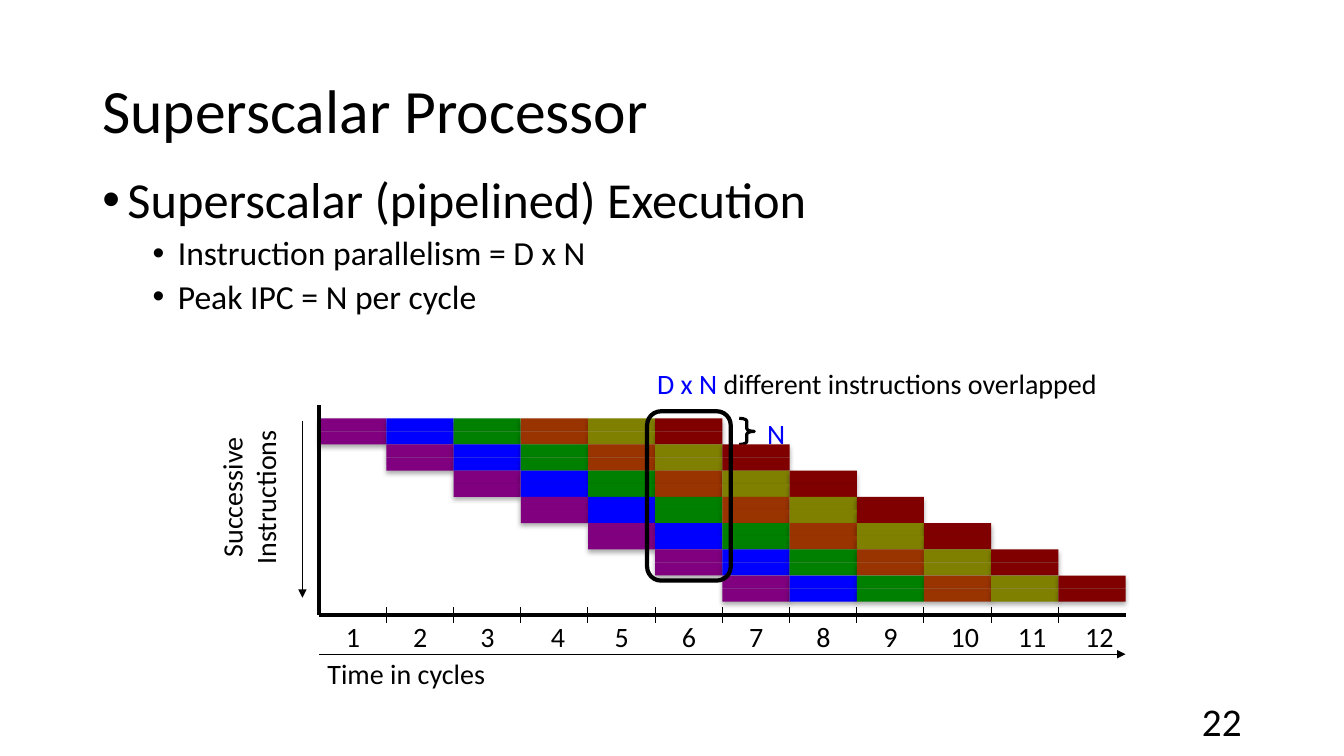
from lxml import etree
from pptx import Presentation
from pptx.dml.color import RGBColor
from pptx.enum.shapes import MSO_CONNECTOR, MSO_SHAPE
from pptx.enum.text import MSO_ANCHOR, PP_ALIGN
from pptx.oxml.ns import qn
from pptx.util import Pt

PX = 3048
FONT = "Calibri"
BLACK, BLUE = "000000", "0000FF"
STAGE_COLORS = ["800080", BLUE, "008000", "993300", "808000", "800000"]
ISSUE_WIDTH, GROUPS, CYCLES = 2, 7, 12
STAGE_WIDTH, ROW_HEIGHT = 200, 39
CHART_LEFT, CHART_TOP, AXIS_Y = 950, 1245, 1830
CHART_RIGHT = CHART_LEFT + CYCLES * STAGE_WIDTH
RECTANGLE = MSO_SHAPE.RECTANGLE
ROUNDED = MSO_SHAPE.ROUNDED_RECTANGLE
BRACE = MSO_SHAPE.RIGHT_BRACE
STRAIGHT = MSO_CONNECTOR.STRAIGHT
LEFT, CENTER, RIGHT = PP_ALIGN.LEFT, PP_ALIGN.CENTER, PP_ALIGN.RIGHT
TOP, MIDDLE = MSO_ANCHOR.TOP, MSO_ANCHOR.MIDDLE

deck = Presentation()
deck.slide_width = 4000 * PX
deck.slide_height = 2250 * PX
page = deck.slides.add_slide(deck.slide_layouts[6])


def add_text(text, left, top, width, height, size=20, color=BLACK,
             align=LEFT, anchor=TOP, wrap=False):
    box = page.shapes.add_textbox(left * PX, top * PX, width * PX, height * PX)
    frame = box.text_frame
    frame.word_wrap = wrap
    frame.vertical_anchor = anchor
    frame.text = text
    for para in frame.paragraphs:
        para.alignment = align
        for span in para.runs:
            span.font.name = FONT
            span.font.size = Pt(size)
            span.font.color.rgb = RGBColor.from_string(color)
    return box


def add_line(x1, y1, x2, y2, weight=0.75, arrow=False):
    line = page.shapes.add_connector(STRAIGHT, x1 * PX, y1 * PX, x2 * PX, y2 * PX)
    line.line.color.rgb = RGBColor.from_string(BLACK)
    line.line.width = Pt(weight)
    if arrow:
        etree.SubElement(line.line._get_or_add_ln(), qn("a:tailEnd"), type="triangle")
    etree.SubElement(line._element.spPr, qn("a:effectLst"))


title = add_text("Superscalar Processor", 275, 120, 3450, 435, size=44,
                 anchor=MIDDLE, wrap=True)
title.text_frame.paragraphs[0].line_spacing = 0.9
add_text("22", 2825, 2085, 900, 120, size=28, align=RIGHT, anchor=MIDDLE, wrap=True)

body = add_text("Superscalar (pipelined) Execution\n"
                "Instruction parallelism = D x N\n"
                "Peak IPC = N per cycle", 275, 507, 3450, 1521, size=24, wrap=True)
for index, para in enumerate(body.text_frame.paragraphs):
    para.level = min(index, 1)
    para.line_spacing = 0.9
    if index:
        para.space_before = Pt(5)
    else:
        para.runs[0].font.size = Pt(36)
    properties = para._p.get_or_add_pPr()
    properties.set("marL", str((225 if index else 75) * PX))
    properties.set("indent", str(-75 * PX))
    etree.SubElement(properties, qn("a:buFont"), typeface="Arial")
    etree.SubElement(properties, qn("a:buChar"), char="•")

add_line(CHART_RIGHT, AXIS_Y, CHART_LEFT, AXIS_Y, weight=3)
instructions = add_text("Successive\nInstructions", 624, 1278, 264, 432, align=CENTER)
instructions.rotation = 180
instructions.text_frame._txBody.bodyPr.set("vert", "eaVert")
add_line(CHART_LEFT, 1947, CHART_RIGHT, 1947, arrow=True)
add_text("Time in cycles", 945, 1938, 543, 132)

for cycle in range(1, CYCLES + 1):
    cycle_left = CHART_LEFT + (cycle - 1) * STAGE_WIDTH
    if cycle > 1:
        add_line(cycle_left, AXIS_Y - 24, cycle_left, AXIS_Y + 24)
    nudge = 10 if cycle == 4 else 0
    add_text(str(cycle), cycle_left + 50 + nudge, AXIS_Y, 102 if cycle < 10 else 144, 132)

add_text("N", 2247, 1224, 126, 132, color=BLUE, align=CENTER)
brace = page.shapes.add_shape(BRACE, 2200 * PX, CHART_TOP * PX,
                              45 * PX, ISSUE_WIDTH * ROW_HEIGHT * PX)
brace.adjustments[0] = 0.18

for row in range(GROUPS * ISSUE_WIDTH):
    for stage, color in enumerate(STAGE_COLORS):
        stage_left = CHART_LEFT + (row // ISSUE_WIDTH + stage) * STAGE_WIDTH
        stage_top = CHART_TOP + row * ROW_HEIGHT
        cell = page.shapes.add_shape(RECTANGLE, stage_left * PX, stage_top * PX,
                                     STAGE_WIDTH * PX, ROW_HEIGHT * PX)
        cell.fill.solid()
        cell.fill.fore_color.rgb = RGBColor.from_string(color)
        cell.line.fill.background()
        cell.shadow.inherit = False
        effects = cell._element.spPr.find(qn("a:effectLst"))
        shadow = etree.SubElement(effects, qn("a:outerShdw"), blurRad=str(Pt(3.5)),
                                  dist=str(Pt(2.2)), dir="5400000", rotWithShape="0")
        shade = etree.SubElement(shadow, qn("a:srgbClr"), val=BLACK)
        etree.SubElement(shade, qn("a:alpha"), val="32000")

caption = add_text("D x N", 1926, 1077, 1407, 132, color=BLUE)
span = caption.text_frame.paragraphs[0].add_run()
span.text = " different instructions overlapped"
span.font.name = FONT
span.font.size = Pt(20)
span.font.color.rgb = RGBColor.from_string(BLACK)

add_line(CHART_LEFT, 1206, CHART_LEFT, AXIS_Y, weight=3)
add_line(900, 1254, 900, 1779, arrow=True)
overlap = page.shapes.add_shape(ROUNDED, 1926 * PX, 1224 * PX, 249 * PX, 504 * PX)
for outline, weight in [(brace, 2.25), (overlap, 3)]:
    outline.fill.background()
    outline.line.color.rgb = RGBColor.from_string(BLACK)
    outline.line.width = Pt(weight)
    outline.shadow.inherit = False

deck.save("out.pptx")
